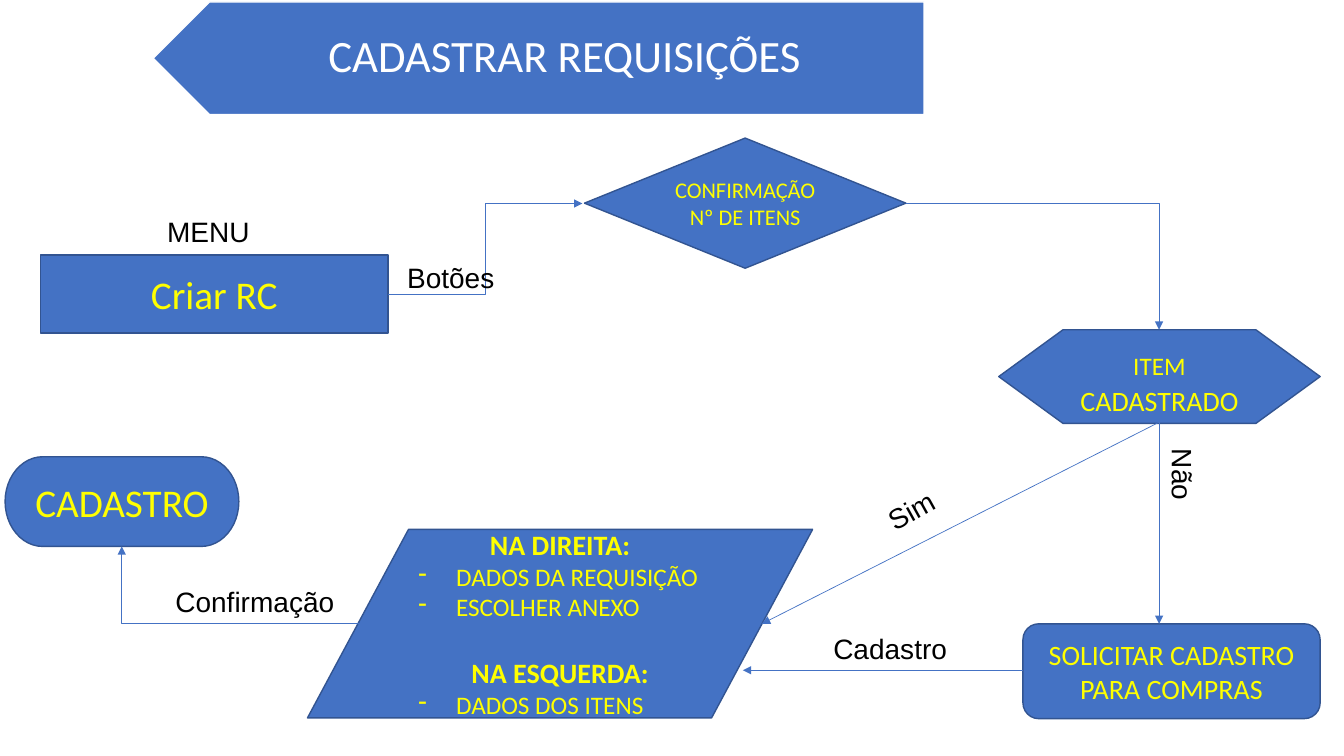
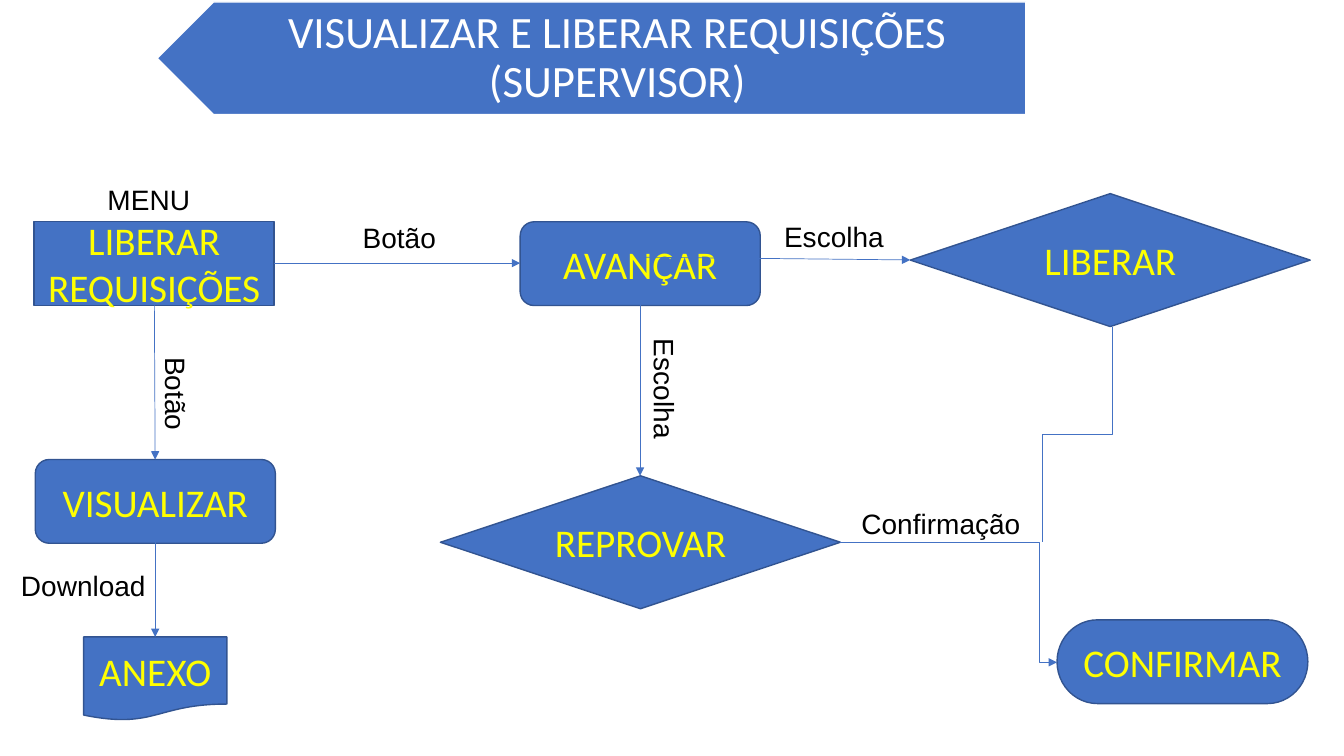
from lxml import etree
from pptx import Presentation
from pptx.dml.color import RGBColor
from pptx.enum.shapes import MSO_CONNECTOR, MSO_SHAPE
from pptx.enum.text import MSO_ANCHOR, PP_ALIGN
from pptx.oxml.ns import qn
from pptx.util import Cm, Pt

BLUE, EDGE, YELLOW = "4472C4", "325491", "FFFF00"
WHITE, BLACK = "FFFFFF", "000000"
LEFT, CENTER = PP_ALIGN.LEFT, PP_ALIGN.CENTER
MIDDLE = MSO_ANCHOR.MIDDLE
STRAIGHT, ELBOW = MSO_CONNECTOR.STRAIGHT, MSO_CONNECTOR.ELBOW
BANNER = MSO_SHAPE.PENTAGON
MENU = MSO_SHAPE.FLOWCHART_PROCESS
CHOICE = MSO_SHAPE.FLOWCHART_DECISION
DATA = MSO_SHAPE.FLOWCHART_DATA
END = MSO_SHAPE.FLOWCHART_TERMINATOR
CHECK = MSO_SHAPE.FLOWCHART_PREPARATION
TASK = MSO_SHAPE.FLOWCHART_ALTERNATE_PROCESS
PAPER = MSO_SHAPE.FLOWCHART_DOCUMENT
LINE, CORNER, STEP = "line", "bentConnector2", "bentConnector3"


def paint(part, color):
    """Give a fill, a line or a font a solid colour from a hex string."""
    if hasattr(part, "solid"):
        part.solid()
        part.fore_color.rgb = RGBColor.from_string(color)
    else:
        part.color.rgb = RGBColor.from_string(color)


def write(box, text, size=28, font="Calibri", color=YELLOW, bold=False,
          align=CENTER, dash=False, join=False, before=0, space=1.0):
    """Add one paragraph per line of text, or join a run to the last one."""
    frame = box.text_frame
    frame.word_wrap = True
    for row in text.split("\n"):
        para = frame.paragraphs[-1]
        if para.runs and not join:
            para = frame.add_paragraph()
        para.alignment = align
        para.line_spacing = space
        para.space_before = Pt(before)
        run = para.add_run()
        run.text = row
        run.font.size = Pt(size)
        run.font.name = font
        run.font.bold = bold
        paint(run.font, color)
        if dash:
            props = para._p.get_or_add_pPr()
            props.set("marL", str(Cm(0.95)))
            props.set("indent", str(-Cm(0.95)))
            etree.SubElement(props, qn("a:buFontTx"))
            etree.SubElement(props, qn("a:buChar"), char="-")


HEAD = dict(size=20, bold=True)
ITEM = dict(size=18, align=LEFT, dash=True)

# Steps: kind, left, top, width, height, then text rows with their format.
# Arrows: route, start x and y, end x and y, bend share, turn in degrees.
# Labels: text, left, top, width, turn in degrees.
slides = [
    dict(
        title="CADASTRAR REQUISIÇÕES", left=3.86, width=19.43,
        steps=[
            (MENU, 1.02, 6.43, 8.76, 1.96, [("Criar RC", {})]),
            (CHOICE, 14.73, 3.48, 8.1, 3.28,
             [("CONFIRMAÇÃO Nº DE ITENS", dict(size=16))]),
            (DATA, 7.75, 13.34, 12.73, 4.75, [
                ("NA DIREITA:", HEAD),
                ("DADOS DA REQUISIÇÃO\nESCOLHER ANEXO", ITEM),
                ("NA ESQUERDA:", dict(HEAD, before=24)),
                ("DADOS DOS ITENS", ITEM)]),
            (END, 0.13, 11.51, 5.89, 2.26, [("CADASTRO", {})]),
            (CHECK, 25.17, 8.31, 8.1, 2.36, [
                ("ITEM", dict(size=18)),
                (" ", dict(join=True)),
                ("CADASTRADO", dict(size=20, join=True))]),
            (TASK, 25.78, 15.72, 7.49, 2.39,
             [("SOLICITAR CADASTRO PARA COMPRAS", dict(size=20))]),
        ],
        arrows=[
            (STEP, 9.78, 7.42, 14.68, 5.13, 0.5, 0),
            (LINE, 29.21, 10.64, 19.2, 15.72, 0, 0),
            (LINE, 29.21, 10.64, 29.21, 15.72, 0, 0),
            (LINE, 25.78, 16.89, 18.72, 16.89, 0, 0),
            (CORNER, 9.04, 15.72, 3.07, 13.77, 0, 0),
            (CORNER, 22.83, 5.13, 29.21, 8.31, 0, 0),
        ],
        labels=[
            ("MENU", 3.96, 5.28, 2.87, 0),
            ("Botões", 10.01, 6.43, 2.87, 0),
            ("Cadastro", 20.75, 15.8, 3.45, 0),
            ("Confirmação", 4.17, 14.61, 4.7, 0),
            ("Não", 28.14, 12.17, 3.33, 90),
            ("Sim", 22, 11.91, 3.33, 330.9),
        ],
    ),
    dict(
        title="VISUALIZAR E LIBERAR REQUISIÇÕES (SUPERVISOR)",
        left=3.96, width=21.89,
        steps=[
            (MENU, 0.86, 5.59, 6.05, 2.11, [("LIBERAR\nREQUISIÇÕES", {})]),
            (TASK, 13.11, 5.59, 6.05, 2.11, [("AVANÇAR", {})]),
            (TASK, 0.89, 11.58, 6.05, 2.11, [("VISUALIZAR", {})]),
            (PAPER, 2.11, 16.05, 3.61, 2.11, [("ANEXO", {})]),
            (CHOICE, 11.1, 11.99, 10.08, 3.35, [("REPROVAR", {})]),
            (CHOICE, 22.94, 4.88, 10.08, 3.35, [("LIBERAR", {})]),
            (END, 26.64, 15.62, 6.32, 2.11, [("CONFIRMAR", {})]),
        ],
        arrows=[
            (LINE, 6.91, 6.63, 13.11, 6.63, 0, 0),
            (LINE, 3.89, 7.67, 3.91, 11.58, 0, 0),
            (LINE, 16.13, 7.67, 16.13, 11.99, 0, 0),
            (LINE, 16.08, 6.48, 22.94, 6.55, 0, 0),
            (LINE, 3.91, 13.67, 3.91, 16.05, 0, 0),
            (STEP, 21.16, 13.67, 26.64, 16.69, 0.92, 0),
            (STEP, 24.43, 10.06, 29.87, 11.84, 0.5, 90),
        ],
        labels=[
            ("Download", 0.28, 14.2, 4.19, 0),
            ("Botão", 3.25, 9.37, 2.36, 90),
            ("Botão", 8.89, 5.44, 2.36, 0),
            ("Escolha", 19.51, 5.41, 3.94, 0),
            ("Escolha", 14.78, 9.7, 3.94, 90),
            ("MENU", 2.46, 4.47, 2.87, 0),
            ("Confirmação", 21.46, 12.65, 4.7, 0),
        ],
    ),
]

deck = Presentation()
deck.slide_width, deck.slide_height = Cm(33.87), Cm(19.05)
blank = deck.slide_layouts[6]

for page in slides:
    shapes = deck.slides.add_slide(blank).shapes

    left, width = page["left"], page["width"]
    band = shapes.add_shape(BANNER, Cm(left), Cm(0.05), Cm(width), Cm(2.84))
    band.rotation = 180
    band.shadow.inherit = False
    paint(band.fill, BLUE)
    paint(band.line, WHITE)
    band.line.width = Pt(1)
    title = shapes.add_textbox(Cm(left + 0.71), Cm(0.05),
                               Cm(width - 0.71), Cm(2.84))
    frame = title.text_frame
    frame.vertical_anchor = MIDDLE
    frame.margin_left, frame.margin_right = Cm(1.24), Cm(0.64)
    frame.margin_top = frame.margin_bottom = Cm(0.33)
    write(title, page["title"], size=32, color=WHITE, space=0.9)

    for kind, left, top, width, height, rows in page["steps"]:
        step = shapes.add_shape(kind, Cm(left), Cm(top), Cm(width), Cm(height))
        step.shadow.inherit = False
        paint(step.fill, BLUE)
        paint(step.line, EDGE)
        step.line.width = Pt(1)
        step.text_frame.vertical_anchor = MIDDLE
        for text, style in rows:
            write(step, text, **style)

    for route, *ends, bend, turn in page["arrows"]:
        kind = STRAIGHT if route == LINE else ELBOW
        arrow = shapes.add_connector(kind, *map(Cm, ends))
        paint(arrow.line, BLUE)
        arrow.line.width = Pt(0.5)
        props = arrow._element.spPr
        geom = props.find(qn("a:prstGeom"))
        geom.set("prst", route)
        if route == STEP:
            etree.SubElement(geom.find(qn("a:avLst")), qn("a:gd"),
                             name="adj1", fmla=f"val {round(bend * 100000)}")
        if turn:
            props.find(qn("a:xfrm")).set("rot", str(turn * 60000))
        else:
            etree.SubElement(props.find(qn("a:ln")), qn("a:tailEnd"),
                             type="triangle")
        etree.SubElement(props, qn("a:effectLst"))

    for text, left, top, width, turn in page["labels"]:
        label = shapes.add_textbox(Cm(left), Cm(top), Cm(width), Cm(1.12))
        label.rotation = turn
        write(label, text, size=20, font="Arial", color=BLACK, align=LEFT)

deck.save("out.pptx")
